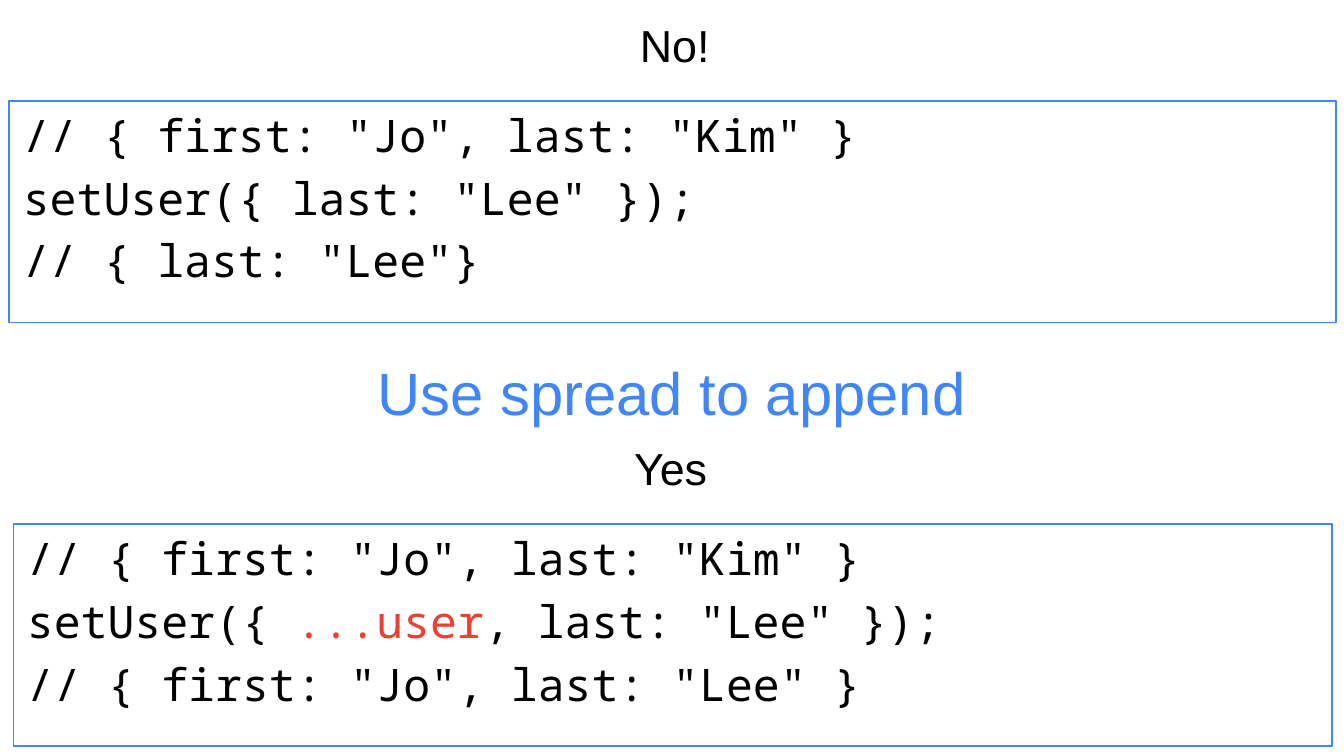
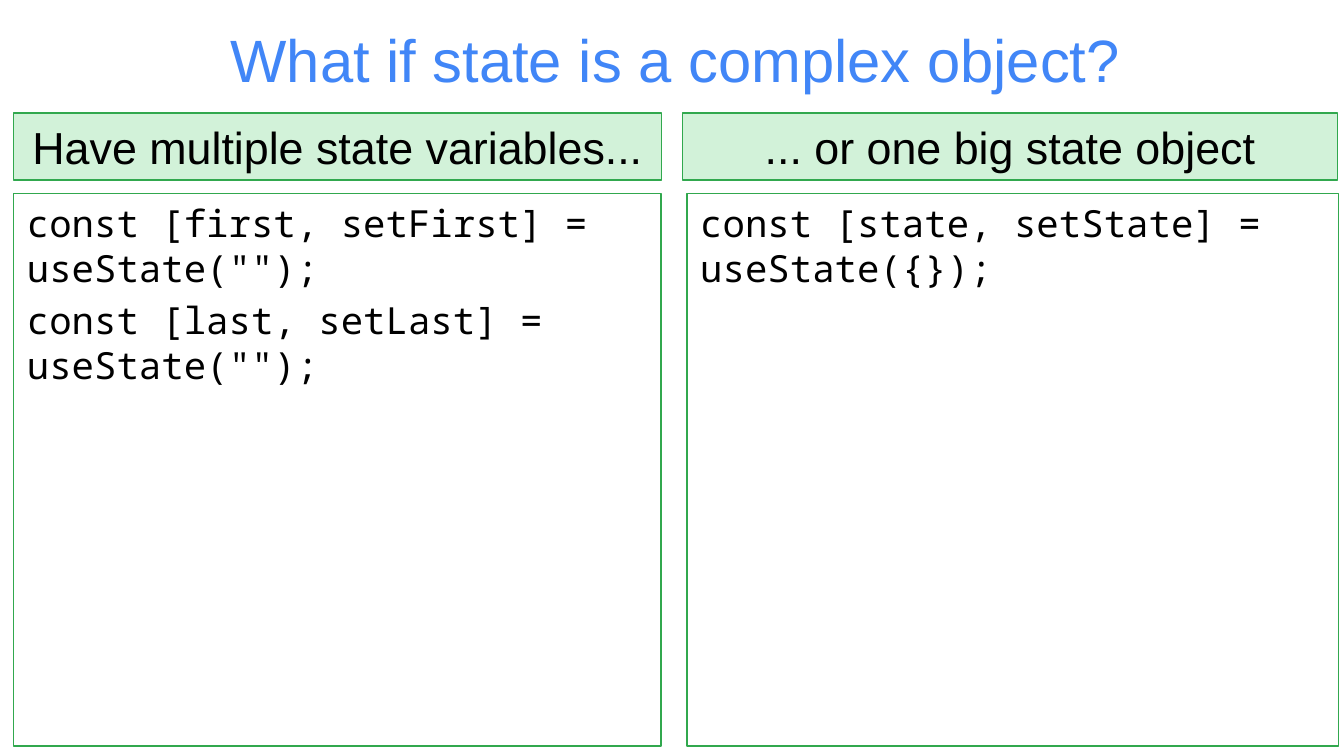
from pptx import Presentation
from pptx.dml.color import RGBColor
from pptx.enum.text import MSO_ANCHOR, MSO_AUTO_SIZE, PP_ALIGN
from pptx.oxml.ns import qn
from pptx.util import Inches, Pt
from lxml import etree

CENTER, LEFT = PP_ALIGN.CENTER, PP_ALIGN.LEFT
TOP, BOTTOM = MSO_ANCHOR.TOP, MSO_ANCHOR.BOTTOM
NO_AUTOFIT = MSO_AUTO_SIZE.NONE

COLORS = {
    "blue": "4186F7",
    "red": "EA4134",
    "green": "31A84E",
    "mint": "D2F2D9",
    "white": "FFFFFF",
    "black": "000000",
}
SANS, MONO = "Arial", "Noto Sans Mono"
SLIDE_WIDTH = 10
SLIDE_HEIGHT = SLIDE_WIDTH * 9 / 16
COMPARISON_LAYOUT = 4
HEADING_HEIGHT = 0.5
HEADING_SIZE = 24


def rgb(name):
    return RGBColor.from_string(COLORS[name])


def place(holder, left, top, width, height):
    holder.left, holder.top = Inches(left), Inches(top)
    holder.width, holder.height = Inches(width), Inches(height)


def outline(holder, line, weight, fill=None):
    if fill:
        holder.fill.solid()
        holder.fill.fore_color.rgb = rgb(fill)
    else:
        holder.fill.background()
    holder.line.color.rgb = rgb(line)
    holder.line.width = Pt(weight)


def write(holder, paragraphs, font, size, align, anchor, color="black"):
    """Fill a placeholder; each paragraph is a list of (text, colour or None)."""
    frame = holder.text_frame
    frame.word_wrap = True
    frame.auto_size = NO_AUTOFIT
    frame.vertical_anchor = anchor
    for index, pieces in enumerate(paragraphs):
        paragraph = frame.add_paragraph() if index else frame.paragraphs[0]
        properties = paragraph._p.get_or_add_pPr()
        properties.set("marL", "0")
        properties.set("indent", "0")
        etree.SubElement(properties, qn("a:buNone"))
        paragraph.alignment = align
        paragraph.space_before = Pt(size * 0.2 if index else 0)
        for text, accent in pieces:
            run = paragraph.add_run()
            run.text = text
            run.font.name = font
            run.font.size = Pt(size)
            run.font.bold = False
            run.font.color.rgb = rgb(accent or color)


def add_title(slide, text, box):
    title = slide.shapes.title
    place(title, *box)
    write(title, [[(text, None)]], SANS, 32, CENTER, BOTTOM, "blue")
    title.text_frame.paragraphs[0].line_spacing = Pt(58)


def add_heading(holder, text, box, fill, line):
    place(holder, *box)
    outline(holder, line, 0.75, fill)
    write(holder, [[(text, None)]], SANS, HEADING_SIZE, CENTER, BOTTOM)


def add_code(holder, lines, size, box, line):
    place(holder, *box)
    outline(holder, line, 1)
    write(holder, lines, MONO, size, LEFT, TOP)


def build_comparison(deck, title, title_box, panels, style):
    """Add a slide with a title and two panels, each a heading above code.

    A span is (left, width); the code starts code_offset below the panel top.
    """
    slide = deck.slides.add_slide(deck.slide_layouts[COMPARISON_LAYOUT])
    add_title(slide, title, title_box)
    bodies = list(slide.placeholders)[1:]
    for heading, code, panel in zip(bodies[::2], bodies[1::2], panels):
        top = panel["top"]
        left, width = panel["heading_span"]
        add_heading(heading, panel["heading"], (left, top, width, HEADING_HEIGHT),
                    style["heading_fill"], style["heading_line"])
        left, width = panel["code_span"]
        add_code(code, panel["code"], style["code_size"],
                 (left, top + style["code_offset"], width, style["code_height"]),
                 style["code_line"])


def build_spread_slide(deck):
    before = [("// { first: \"Jo\", last: \"Kim\" }", None)]
    panels = [
        {"top": 0.08, "heading": "No!",
         "heading_span": (0.09, 9.86), "code_span": (0.07, 9.87),
         "code": [before,
                  [("setUser({ last: \"Lee\" });", None)],
                  [("// { last: \"Lee\"}", None)]]},
        {"top": 3.23, "heading": "Yes",
         "heading_span": (0.06, 9.86), "code_span": (0.1, 9.81),
         "code": [before,
                  [("setUser({ ", None), ("...user", "red"),
                   (", last: \"Lee\" });", None)],
                  [("// { first: \"Jo\", last: \"Lee\" }", None)]]},
    ]
    style = {"heading_fill": "white", "heading_line": "white",
             "code_line": "blue", "code_size": 24,
             "code_offset": 0.67, "code_height": 1.65}
    build_comparison(deck, "Use spread to append", (0.07, 2.54, 9.86, 0.69),
                     panels, style)


def build_state_slide(deck):
    panels = [
        {"top": 0.84, "heading": "Have multiple state variables...",
         "heading_span": (0.1, 4.82), "code_span": (0.1, 4.82),
         "code": [[("const [first, setFirst] = useState(\"\");", None)],
                  [("const [last, setLast] = useState(\"\");", None)]]},
        {"top": 0.84, "heading": "... or one big state object",
         "heading_span": (5.08, 4.87), "code_span": (5.11, 4.85),
         "code": [[("const [state, setState] = useState({});", None)]]},
    ]
    style = {"heading_fill": "mint", "heading_line": "green",
             "code_line": "green", "code_size": 20,
             "code_offset": 0.6, "code_height": 4.11}
    build_comparison(deck, "What if state is a complex object?",
                     (0.1, 0.06, 9.86, 0.69), panels, style)


def main():
    deck = Presentation()
    deck.slide_width = Inches(SLIDE_WIDTH)
    deck.slide_height = Inches(SLIDE_HEIGHT)
    build_spread_slide(deck)
    build_state_slide(deck)
    deck.save("out.pptx")


if __name__ == "__main__":
    main()
